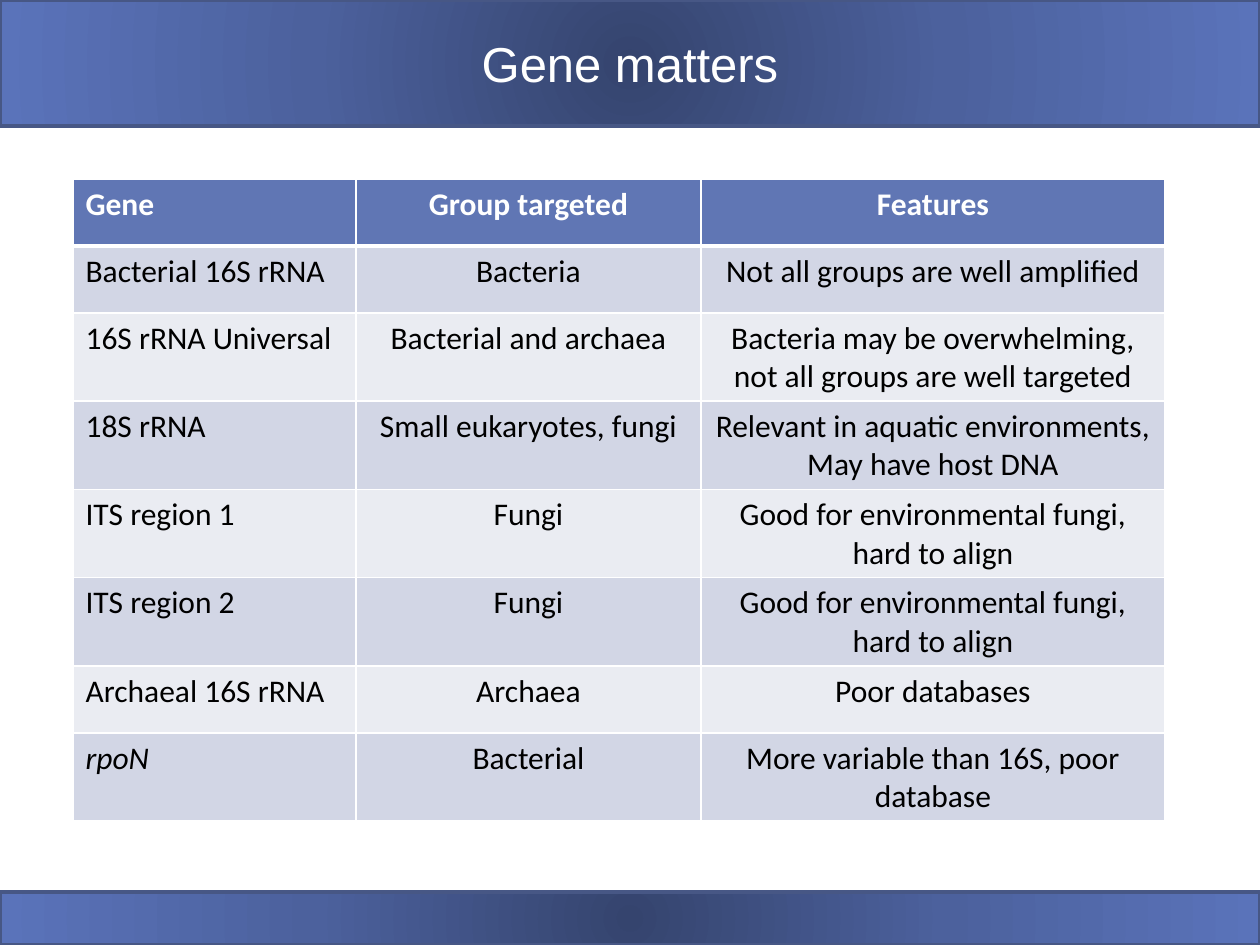
from lxml.etree import SubElement
from pptx import Presentation
from pptx.dml.color import RGBColor
from pptx.enum.shapes import MSO_SHAPE
from pptx.enum.text import MSO_ANCHOR, PP_ALIGN
from pptx.oxml.ns import qn
from pptx.util import Emu, Pt

COLORS = {
    "dark": "35446E", "mid": "4C619D", "light": "5A73BA", "outline": "475785",
    "header": "6076B4", "odd": "D2D6E5", "even": "EAECF2",
    "white": "FFFFFF", "black": "000000",
}
WIDTH, HEIGHT = 1260, 945
COLUMNS = (283, 345, 464)
SHORT, TALL = 67, 82
ROWS = (
    (SHORT, "Gene", "Group targeted", "Features"),
    (SHORT, "Bacterial 16S rRNA", "Bacteria", "Not all groups are well amplified"),
    (TALL, "16S rRNA Universal", "Bacterial and archaea",
     "Bacteria may be overwhelming, not all groups are well targeted"),
    (SHORT, "18S rRNA", "Small eukaryotes, fungi",
     "Relevant in aquatic environments,\nMay have host DNA"),
    (TALL, "ITS region 1", "Fungi", "Good for environmental fungi, hard to align"),
    (TALL, "ITS region 2", "Fungi", "Good for environmental fungi, hard to align"),
    (SHORT, "Archaeal 16S rRNA", "Archaea", "Poor databases"),
    (TALL, "rpoN", "Bacterial", "More variable than 16S, poor database"),
)


def px(n):
    """Turn pixels into EMU."""
    return Emu(round(n * 914400 / 126))


def rgb(name):
    """Look up a named colour."""
    return RGBColor.from_string(COLORS[name])


def write(tf, text, size=18, font="Calibri", color="black", bold=False,
          italic=False, align=PP_ALIGN.CENTER):
    """Fill a text frame, one paragraph for each line of text."""
    for i, line in enumerate(text.split("\n")):
        p = tf.add_paragraph() if i else tf.paragraphs[0]
        p.alignment = align
        r = p.add_run()
        r.text = line
        r.font.size, r.font.name = Pt(size), font
        r.font.bold, r.font.italic = bold, italic
        r.font.color.rgb = rgb(color)


def add_color(parent, name):
    """Append a colour element to an XML parent."""
    SubElement(parent, qn("a:srgbClr"), val=COLORS[name])


def add_bar(s, top, height):
    """Draw a full-width bar with a gradient spreading from its centre."""
    sp = s.shapes.add_shape(MSO_SHAPE.RECTANGLE, 0, px(top), px(WIDTH), px(height))
    grad = SubElement(sp.element.spPr, qn("a:gradFill"), rotWithShape="1")
    stops = SubElement(grad, qn("a:gsLst"))
    for pos, name in ((0, "dark"), (50, "mid"), (100, "light")):
        add_color(SubElement(stops, qn("a:gs"), pos=str(pos * 1000)), name)
    circle = SubElement(grad, qn("a:path"), path="circle")
    SubElement(circle, qn("a:fillToRect"), dict.fromkeys("ltrb", "50000"))
    sp.line.color.rgb = rgb("outline")
    sp.line.width = Pt(2)
    sp.shadow.inherit = False


def add_title(s, text):
    """Place the slide title over the top bar."""
    tf = s.shapes.add_textbox(px(126), 0, px(1008), px(126)).text_frame
    tf.word_wrap = True
    tf.vertical_anchor = MSO_ANCHOR.MIDDLE
    write(tf, text, size=28, font="Arial", color="white")


def set_borders(cell, row):
    """Give a cell white borders, thick below the header row."""
    tc_pr = cell._tc.get_or_add_tcPr()
    thick = {0: "B", 1: "T"}.get(row)
    for side in "LRTB":
        width = Pt(3 if side == thick else 1)
        ln = SubElement(tc_pr, qn(f"a:ln{side}"), w=str(width))
        add_color(SubElement(ln, qn("a:solidFill")), "white")


def add_gene_table(s, left, top):
    """Build the banded table of genes."""
    height = sum(row[0] for row in ROWS)
    table = s.shapes.add_table(len(ROWS), len(COLUMNS), px(left), px(top),
                               px(sum(COLUMNS)), px(height)).table
    for column, width in zip(table.columns, COLUMNS):
        column.width = px(width)
    for i, (height, *texts) in enumerate(ROWS):
        table.rows[i].height = px(height)
        fill = "header" if i == 0 else "odd" if i % 2 else "even"
        for j, text in enumerate(texts):
            cell = table.cell(i, j)
            set_borders(cell, i)
            cell.fill.solid()
            cell.fill.fore_color.rgb = rgb(fill)
            write(cell.text_frame, text, bold=i == 0, italic=text == "rpoN",
                  color="black" if i else "white",
                  align=PP_ALIGN.CENTER if j else PP_ALIGN.LEFT)


def main():
    """Build and save the slide."""
    prs = Presentation()
    prs.slide_width, prs.slide_height = px(WIDTH), px(HEIGHT)
    s = prs.slides.add_slide(prs.slide_layouts[6])
    add_bar(s, 0, 126)
    add_bar(s, 892, 53)
    add_title(s, "Gene matters")
    add_gene_table(s, 73, 179)
    prs.save("out.pptx")


if __name__ == "__main__":
    main()
